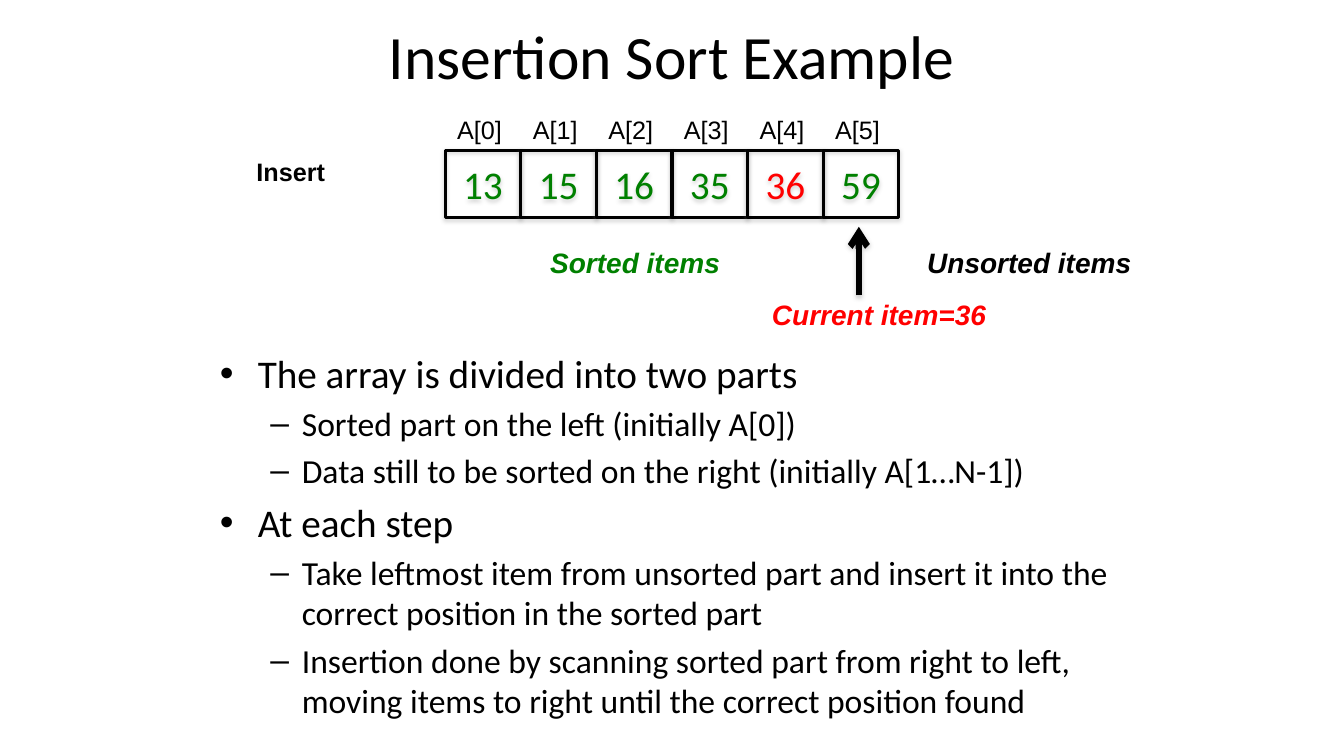
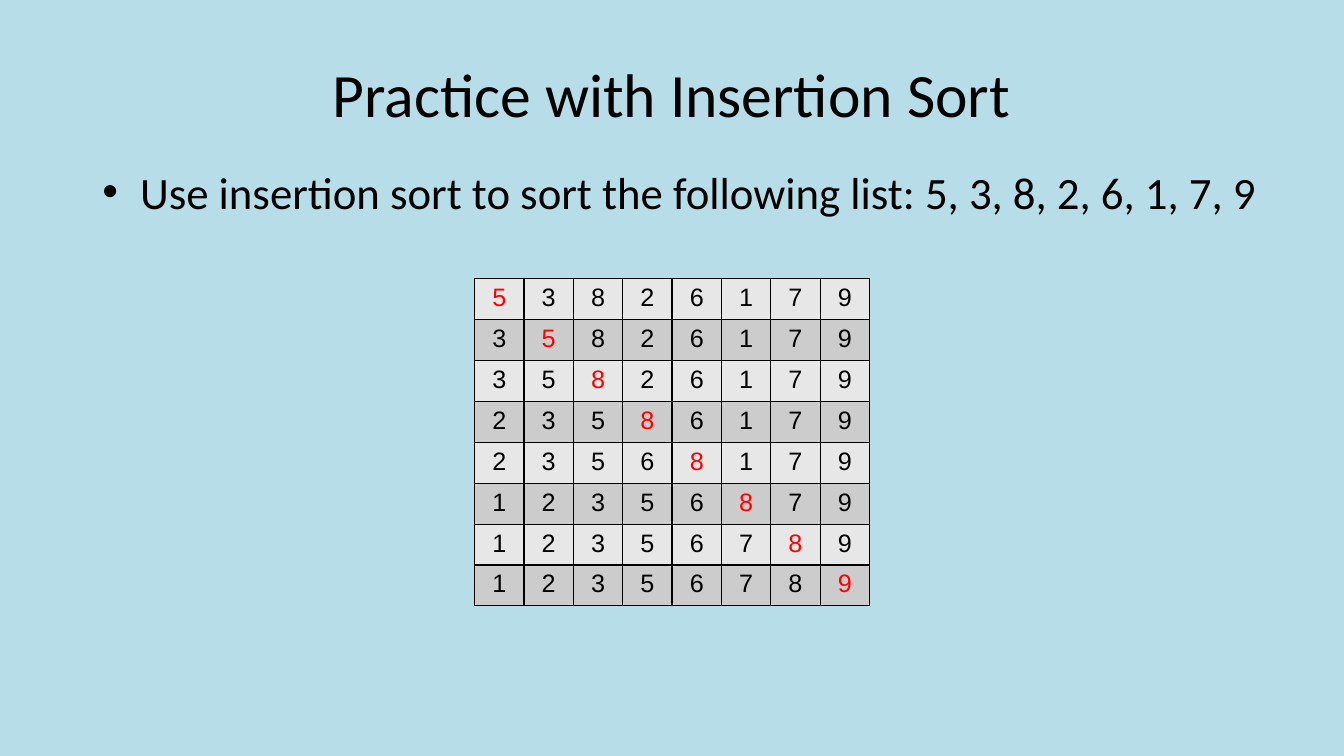
from dataclasses import dataclass

from lxml import etree
from pptx import Presentation
from pptx.dml.color import RGBColor
from pptx.enum import shapes, text
from pptx.oxml import ns
from pptx.util import Pt


@dataclass(frozen=True)
class Theme:
    head: str = "Calibri"
    body: str = "Arial"
    black: str = "000000"
    green: str = "008000"
    red: str = "FF0000"
    gray: str = "808080"
    white: str = "FFFFFF"
    sky: str = "B7DEE8"
    bands: tuple = ("E7E7E7", "CCCCCC")
    title: int = 44
    lead: int = 32
    point: int = 28
    sub: int = 24
    note: int = 20
    small: int = 18


T = Theme()
MID = text.PP_ALIGN.CENTER

ITEMS = [13, 15, 16, 35, 36, 59]
NOW = 36
POINTS = [
    (0, "The array is divided into two parts"),
    (1, "Sorted part on the left (initially A[0])"),
    (1, "Data still to be sorted on the right (initially A[1…N-1])"),
    (0, "At each step"),
    (1, "Take leftmost item from unsorted part and insert it into the "
        "correct position in the sorted part"),
    (1, "Insertion done by scanning sorted part from right to left, "
        "moving items to right until the correct position found"),
]
NOTES = [  # text, colour, left, top, width
    (f"Current item={NOW}", T.red, 544.3, 208.8, 173.5),
    ("Sorted items", T.green, 385.9, 172.1, 141.8),
    ("Unsorted items", T.black, 655.2, 172.1, 166.3),
]
START = [5, 3, 8, 2, 6, 1, 7, 9]
TASK = "Use insertion sort to sort the following list: " + ", ".join(map(str, START))

MARKS = [("•", 27, -27), ("–", 58.5, -22.5)]  # sign, margin, indent


def rgb(hue):
    return RGBColor.from_string(hue)


def node(top, tag, **attrs):
    return etree.SubElement(top, ns.qn(tag), {k: str(v) for k, v in attrs.items()})


def paint(top, hue):
    return node(node(top, "a:solidFill"), "a:srgbClr", val=hue)


def add_run(para, words, size, hue=T.black, face=T.head, bold=False, slant=False):
    run = para.add_run()
    run.text = words
    font = run.font
    font.name, font.size = face, Pt(size)
    font.bold, font.italic = bold, slant
    font.color.rgb = rgb(hue)


def add_box(slide, spot, wrap=True):
    frame = slide.shapes.add_textbox(*map(Pt, spot)).text_frame
    frame.word_wrap = wrap
    return frame


def add_label(slide, spot, words, size, hue=T.black, **style):
    para = add_box(slide, spot, wrap=False).paragraphs[0]
    add_run(para, words, size, hue, T.body, **style)
    return para


def add_title(slide, spot, words):
    frame = add_box(slide, spot)
    frame.vertical_anchor = text.MSO_ANCHOR.MIDDLE
    para = frame.paragraphs[0]
    para.alignment = MID
    add_run(para, words, T.title)


def add_points(slide, spot, points, sizes):
    frame = add_box(slide, spot)
    for i, (level, words) in enumerate(points):
        para = frame.add_paragraph() if i else frame.paragraphs[0]
        sign, left, indent = MARKS[level]
        para.level = level
        if i:
            para.space_before = Pt(sizes[level] * 0.2)
        props = para._p.get_or_add_pPr()
        props.set("marL", str(Pt(left)))
        props.set("indent", str(Pt(indent)))
        node(props, "a:buFont", typeface=T.body)
        node(props, "a:buChar", char=sign)
        add_run(para, words, sizes[level])


def add_shadow(props, alpha, drop):
    """Cast a soft shadow downward; props must already hold its line."""
    glow = node(node(props, "a:effectLst"), "a:outerShdw", blurRad=Pt(3.1),
                dist=Pt(drop), dir=5400000, rotWithShape=0)
    node(node(glow, "a:srgbClr", val=T.gray), "a:alpha", val=alpha * 1000)


def add_array(slide, left, top, wide, high):
    for i, item in enumerate(ITEMS):
        x = left + i * wide
        cell = slide.shapes.add_shape(shapes.MSO_SHAPE.RECTANGLE,
                                      *map(Pt, (x, top, wide, high)))
        cell.fill.background()
        cell.line.color.rgb = rgb(T.black)
        cell.line.width = Pt(2.25)
        add_shadow(cell._element.spPr, 35, 1.8)
        frame = cell.text_frame
        frame.vertical_anchor = text.MSO_ANCHOR.MIDDLE
        para = frame.paragraphs[0]
        para.alignment = MID
        add_run(para, str(item), T.point, T.red if item == NOW else T.green)
        add_label(slide, (x + 1.5, top - 29.5, 47.5, 29), f"A[{i}]", T.small)


def add_arrow(slide, x, low, high):
    arrow = slide.shapes.add_connector(shapes.MSO_CONNECTOR.STRAIGHT,
                                       *map(Pt, (x, low, x, high)))
    arrow.line.color.rgb = rgb(T.black)
    arrow.line.width = Pt(4.5)
    node(arrow.line._get_or_add_ln(), "a:tailEnd", type="arrow")
    add_shadow(arrow._element.spPr, 38, 1.6)


def add_steps(slide, left, top, wide, high):
    """Tabulate the list after each pass, with the pass's last item in red."""
    count = len(START)
    grid = slide.shapes.add_table(count, count, *map(
        Pt, (left, top, wide * count, high * count))).table
    for col in grid.columns:
        col.width = Pt(wide)
    for i, row in enumerate(grid.rows):
        row.height = Pt(high)
        values = sorted(START[:i + 1]) + START[i + 1:]
        for j, (cell, value) in enumerate(zip(row.cells, values)):
            props = cell._tc.get_or_add_tcPr()
            for side in "LRTB":
                paint(node(props, f"a:ln{side}", w=Pt(1)), T.black)
            cell.fill.solid()
            cell.fill.fore_color.rgb = rgb(T.bands[i % 2])
            para = cell.text_frame.paragraphs[0]
            para.alignment = MID
            add_run(para, str(value), T.small, T.red if i == j else T.black, T.body)


def add_slide(deck, hue):
    slide = deck.slides.add_slide(deck.slide_layouts[6])
    slide.background.fill.solid()
    slide.background.fill.fore_color.rgb = rgb(hue)
    return slide


def main():
    deck = Presentation()
    deck.slide_width, deck.slide_height = Pt(960), Pt(540)

    slide = add_slide(deck, T.white)
    add_title(slide, (156, 6, 648, 66), "Insertion Sort Example")
    add_points(slide, (150, 246, 666, 294), POINTS, (T.point, T.sub))
    add_array(slide, 318, 107.3, 54, 48)
    add_arrow(slide, 613.5, 211, 162)
    for words, hue, left, top, wide in NOTES:
        add_label(slide, (left, top, wide, 31.5), words, T.note, hue,
                  bold=True, slant=True)
    para = add_label(slide, (175.7, 108, 64, 29), "Insert", T.small, bold=True)
    para.alignment = MID

    slide = add_slide(deck, T.sky)
    add_title(slide, (48, 21.6, 864, 90), "Practice with Insertion Sort")
    add_points(slide, (66, 114, 864, 174), [(0, TASK)], (T.lead,))
    add_steps(slide, 339, 199.2, 35.28, 29.2)

    deck.save("out.pptx")


if __name__ == "__main__":
    main()
